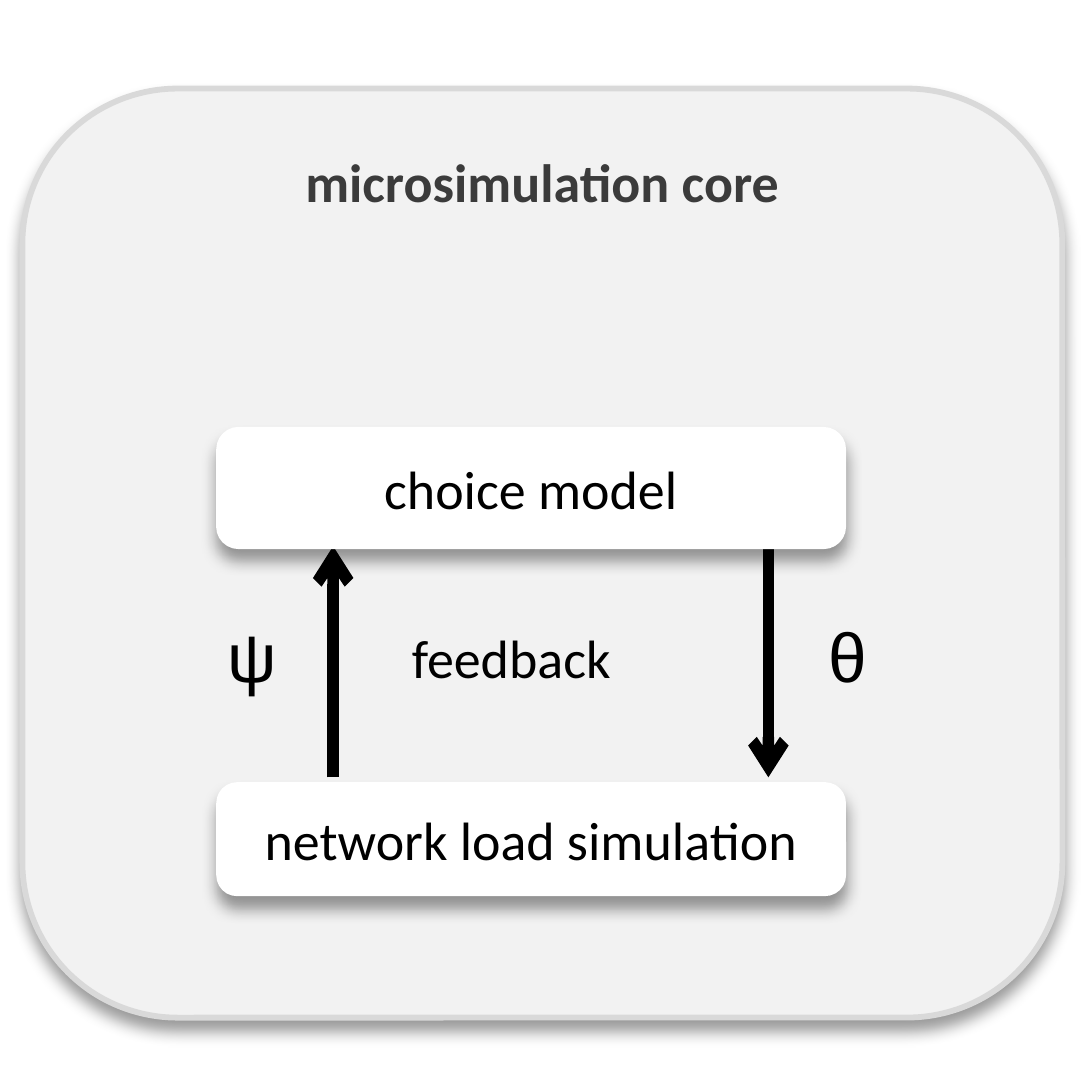
import dataclasses

import lxml.etree
import pptx
import pptx.dml.color
import pptx.enum.shapes
import pptx.enum.text
import pptx.oxml.ns
import pptx.util

Pt = pptx.util.Pt
qn = pptx.oxml.ns.qn
ALIGN = pptx.enum.text.PP_ALIGN
FIT = pptx.enum.text.MSO_AUTO_SIZE


@dataclasses.dataclass(frozen=True)
class Theme:
    """Colours, fonts and sizes in points."""
    panel: str = "F2F2F2"
    edge: str = "D9D9D9"
    head: str = "3B3B3B"
    card: str = "FFFFFF"
    ink: str = "000000"
    font: str = "Calibri"
    greek: str = "Arial"
    text: float = 14
    sign: float = 18
    rim: float = 1.5
    arrow: float = 3
    round: float = 0.167


THEME = Theme()


def color(code):
    """Turn a hex code into a colour."""
    return pptx.dml.color.RGBColor.from_string(code)


def write(frame, text, size=THEME.text, font=THEME.font, ink=THEME.ink,
          bold=False, align=ALIGN.CENTER):
    """Put one styled run into a text frame."""
    frame.vertical_anchor = pptx.enum.text.MSO_ANCHOR.MIDDLE
    para = frame.paragraphs[0]
    para.alignment = align
    run = para.add_run()
    run.text = text
    run.font.size = Pt(size)
    run.font.name = font
    run.font.bold = bold
    run.font.color.rgb = color(ink)


def shade(shape):
    """Give a shape a soft shadow that falls straight down."""
    shape.shadow.inherit = False
    effects = shape.element.spPr.find(qn("a:effectLst"))
    outer = lxml.etree.SubElement(
        effects, qn("a:outerShdw"), blurRad=str(Pt(4)), dist=str(Pt(3)),
        dir="5400000", rotWithShape="0")
    tint = lxml.etree.SubElement(outer, qn("a:srgbClr"), val=THEME.ink)
    lxml.etree.SubElement(tint, qn("a:alpha"), val="40000")


def add_card(slide, box, fill, edge):
    """Draw a rounded box with a rim and a shadow."""
    kind = pptx.enum.shapes.MSO_SHAPE.ROUNDED_RECTANGLE
    card = slide.shapes.add_shape(kind, *map(Pt, box))
    card.adjustments[0] = THEME.round
    card.fill.solid()
    card.fill.fore_color.rgb = color(fill)
    card.line.color.rgb = color(edge)
    card.line.width = Pt(THEME.rim)
    shade(card)
    return card


def add_arrow(slide, x, start, end):
    """Draw an upright arrow from start to end."""
    kind = pptx.enum.shapes.MSO_CONNECTOR.STRAIGHT
    arrow = slide.shapes.add_connector(kind, *map(Pt, (x, start, x, end)))
    arrow.line.color.rgb = color(THEME.ink)
    arrow.line.width = Pt(THEME.arrow)
    props = arrow.element.spPr
    lxml.etree.SubElement(props.find(qn("a:ln")), qn("a:tailEnd"), type="arrow")
    lxml.etree.SubElement(props, qn("a:effectLst"))


def add_label(slide, box, text, wrap=True, **style):
    """Place a free label."""
    frame = slide.shapes.add_textbox(*map(Pt, box)).text_frame
    frame.word_wrap = wrap
    frame.auto_size = FIT.SHAPE_TO_FIT_TEXT
    write(frame, text, align=ALIGN.LEFT, **style)


def draw_panel(slide, box):
    """Draw the outer panel and set the title near its top."""
    left, top, width, _ = box
    add_card(slide, box, THEME.panel, THEME.edge)
    title = slide.shapes.title
    title.left, title.top = Pt(left), Pt(top + 12)
    title.width, title.height = Pt(width), Pt(24)
    title.text_frame.auto_size = FIT.NONE
    write(title.text_frame, "microsimulation core", ink=THEME.head, bold=True)
    # The title must lie in front of the panel.
    title.element.getparent().append(title.element)


def draw_loop(slide, box):
    """Draw the two models and the feedback arrows between them."""
    left, top, width, height = box
    upper, lower = 30.2, 28.1
    high, low = top + upper, top + height - lower
    add_arrow(slide, left + 142.6, high, low - 2)
    add_arrow(slide, left + 29.6, low - 2, high)
    add_label(slide, (left + 43, high + 16.5, 67, 24.5), "feedback", wrap=False)
    cards = (("choice model", top, upper),
             ("network load simulation", low, lower))
    for text, y, tall in cards:
        card = add_card(slide, (left, y, width, tall), THEME.card, THEME.card)
        write(card.text_frame, text)
    for text, x in (("ψ", -5), ("θ", 151.2)):
        add_label(slide, (left + x, high + 13.7, 31.7, 28.8), text,
                  size=THEME.sign, font=THEME.greek)


def main():
    """Build the slide and save it."""
    deck = pptx.Presentation()
    deck.slide_width = deck.slide_height = Pt(283.5)
    slide = deck.slides.add_slide(deck.slide_layouts.get_by_name("Title Only"))
    draw_panel(slide, (5.8, 23, 270, 241.2))
    draw_loop(slide, (56.9, 111.6, 162, 120.3))
    deck.save("out.pptx")


main()
